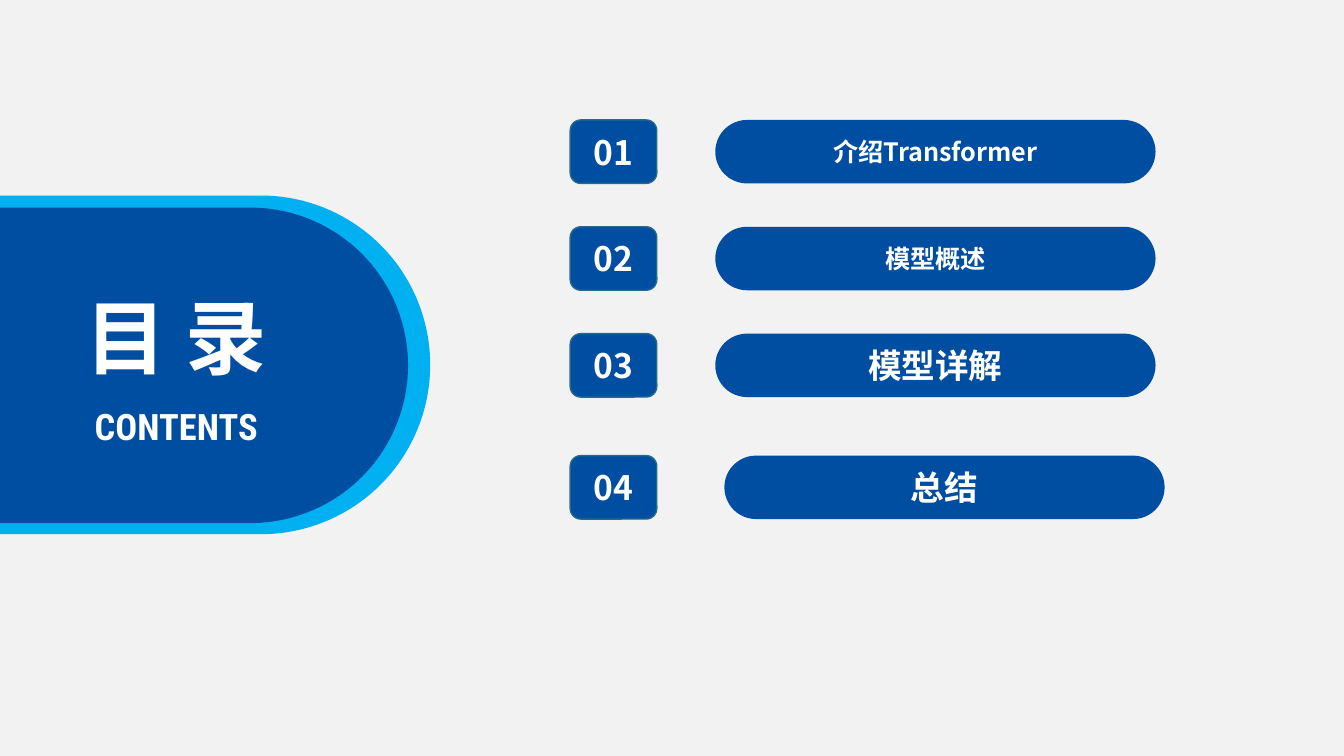
from pptx import Presentation
from pptx.dml import color
from pptx.enum import shapes, text
from pptx.oxml import ns
from pptx.util import Emu, Pt

PX = 9144  # EMU per px, 100 px to the inch
BLUE, CYAN, EDGE, PALE, WHITE = "004EA2", "00B0F0", "236B88", "F2F2F2", "FFFFFF"
CJK, CONDENSED = "Noto Sans CJK SC", "Roboto Condensed"
ROW_HEIGHT = 63
# number, label, label size, top, shift of the label pill
ENTRIES = [
    ("01", "介绍Transformer", 18, 119, 0),
    ("02", "模型概述", 18, 225, 0),
    ("03", "模型详解", 24, 331, 0),
    ("04", "总结", 24, 452, 9),
]


def px(*lengths):
    return [Emu(length * PX) for length in lengths]


def paint(fill, value):
    fill.solid()
    fill.fore_color.rgb = color.RGBColor.from_string(value)


def write(shape, words, size, font_name=CJK, **frame_format):
    frame = shape.text_frame
    frame.text = words
    for name, value in frame_format.items():
        setattr(frame, name, value)
    paragraph = frame.paragraphs[0]
    paragraph.alignment = text.PP_ALIGN.CENTER
    font = paragraph.runs[0].font
    for name, value in {"size": Pt(size), "bold": True, "name": font_name}.items():
        setattr(font, name, value)
    paint(font.fill, WHITE)
    # East Asian glyphs take their typeface from a separate element
    east_asian = font._element.makeelement(ns.qn("a:ea"), {"typeface": font_name})
    font._element.find(ns.qn("a:latin")).addnext(east_asian)


def add_rounded(slide, box, fill, rounding, edge=None):
    shape = slide.shapes.add_shape(shapes.MSO_SHAPE.ROUNDED_RECTANGLE, *px(*box))
    shape.shadow.inherit = False
    shape.adjustments[0] = rounding
    paint(shape.fill, fill)
    if edge:
        paint(shape.line.fill, edge)
        shape.line.width = Pt(1)
    else:
        shape.line.fill.background()
    return shape


def add_title_panel(slide, left, top, width, height):
    """Place the blue panel with its cyan rim, the title and the subtitle."""
    add_rounded(slide, (left, top, width, height), CYAN, 0.5)
    add_rounded(slide, (left + 21, top + 12, width - 43, height - 23), BLUE, 0.5)

    subtitle = slide.shapes.add_textbox(*px(left + 260, top + 202, 212, 54))
    write(subtitle, "CONTENTS", 26, CONDENSED, word_wrap=False,
          auto_size=text.MSO_AUTO_SIZE.SHAPE_TO_FIT_TEXT)

    # The title box is wide enough to hold its text on one line
    title = slide.shapes.title
    title.left, title.top, title.width, title.height = px(left + 226, top + 86, 280, 107)
    write(title, "目 录", 58, word_wrap=True, auto_size=text.MSO_AUTO_SIZE.NONE,
          vertical_anchor=text.MSO_ANCHOR.TOP)
    subtitle._element.addnext(title._element)  # bring the title in front of the panel


def add_entry(slide, left, top, number, label, label_size, shift):
    """Place one numbered badge and the pill beside it."""
    badge = add_rounded(slide, (left, top, 86, ROW_HEIGHT), BLUE, 0.167, EDGE)
    pill = add_rounded(slide, (left + 144 + shift, top, 437, ROW_HEIGHT), BLUE, 0.5)
    for shape, words, size in ((badge, number, 24), (pill, label, label_size)):
        write(shape, words, size, vertical_anchor=text.MSO_ANCHOR.MIDDLE)


def main():
    presentation = Presentation()
    presentation.slide_width, presentation.slide_height = px(1334, 750)
    slide = presentation.slides.add_slide(presentation.slide_layouts.get_by_name("Title Only"))
    paint(slide.background.fill, PALE)
    add_title_panel(slide, -191, 194, 618, 336)
    for number, label, size, top, shift in ENTRIES:
        add_entry(slide, 566, top, number, label, size, shift)
    presentation.save("out.pptx")


if __name__ == "__main__":
    main()
